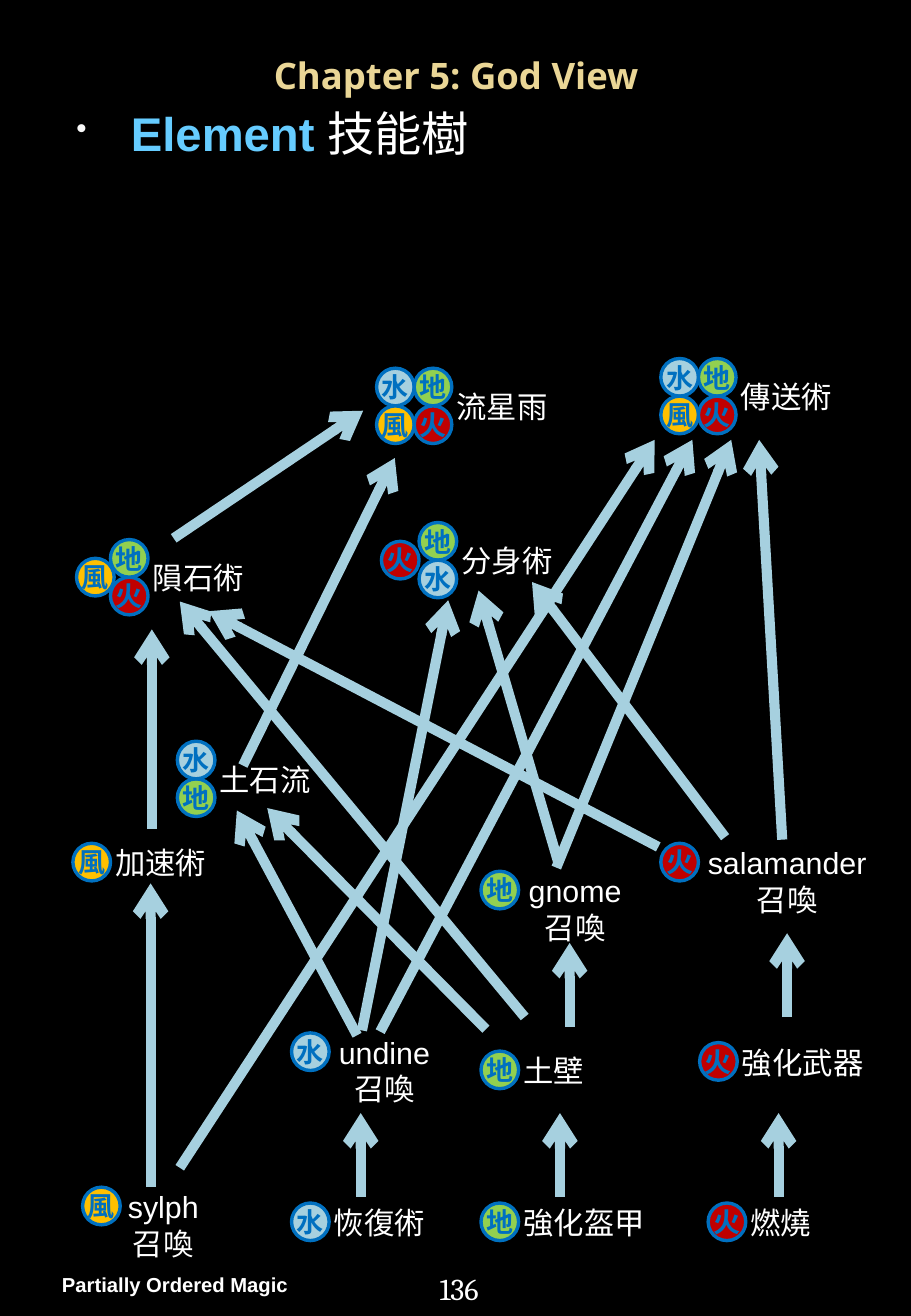
from lxml import etree
from pptx import Presentation
from pptx.dml.color import RGBColor
from pptx.enum.shapes import MSO_CONNECTOR as Line, MSO_SHAPE as Shape
from pptx.enum.text import MSO_ANCHOR as Anchor, MSO_AUTO_SIZE as Fit, PP_ALIGN as Align
from pptx.oxml.ns import qn
from pptx.util import Inches, Pt

BLACK = RGBColor(0x00, 0x00, 0x00)
WHITE = RGBColor(0xFF, 0xFF, 0xFF)
GOLD = RGBColor(0xEA, 0xD6, 0x96)
SKY = RGBColor(0x66, 0xCC, 0xFF)
ICE = RGBColor(0xA6, 0xD0, 0xDF)
BLUE = RGBColor(0x00, 0x70, 0xC0)
ELEMENTS = {
    "水": ICE,
    "地": RGBColor(0x92, 0xD0, 0x50),
    "風": RGBColor(0xFF, 0xC0, 0x00),
    "火": RGBColor(0xC0, 0x00, 0x00),
}
ORB = 0.31  # orb diameter and grid step

SQUARE = [("水", 0, 0), ("地", 1, 0), ("風", 0, 1), ("火", 1, 1)]
FIRE, EARTH, WIND, WATER = ([(element, 0, 0)] for element in "火地風水")

# Name lines, label width, left and top of the orbs, orbs as (element, column, row)
SPELLS = [
    (["流星雨"], 0.96, 3.10, 3.03, SQUARE),
    (["傳送術"], 0.96, 5.44, 2.95, SQUARE),
    (["隕石術"], 0.96, 0.63, 4.44, [("火", 0.9, 1), ("地", 0.9, 0), ("風", 0, 0.5)]),
    (["分身術"], 0.96, 3.14, 4.30, [("火", 0, 0.5), ("地", 1, 0), ("水", 1, 1)]),
    (["土石流"], 0.96, 1.46, 6.10, [("地", 0, 1), ("水", 0, 0)]),
    (["加速術"], 0.96, 0.60, 6.94, WIND),
    (["gnome", "召喚"], 1.05, 3.96, 7.17, EARTH),
    (["salamander", "召喚"], 1.58, 5.44, 6.94, FIRE),
    (["undine", "召喚"], 1.03, 2.40, 8.50, WATER),
    (["土壁"], 0.71, 3.96, 8.65, EARTH),
    (["強化武器"], 1.21, 5.76, 8.58, FIRE),
    (["sylph", "召喚"], 0.83, 0.68, 9.77, WIND),
    (["恢復術"], 0.96, 2.40, 9.90, WATER),
    (["強化盔甲"], 1.21, 3.96, 9.90, EARTH),
    (["燃燒"], 0.71, 5.83, 9.90, FIRE),
]

# Prerequisite arrows: start x, y and end x, y
ARROWS = [
    (4.60, 7.11, 3.94, 4.86), (2.97, 9.85, 2.97, 9.16), (1.24, 9.77, 1.24, 7.27),
    (4.61, 9.85, 4.61, 9.16), (6.41, 9.85, 6.41, 9.16), (4.69, 8.45, 4.69, 7.76),
    (2.98, 8.48, 3.69, 4.94), (2.94, 8.52, 1.95, 6.67), (6.44, 6.91, 6.25, 3.62),
    (1.43, 4.43, 2.99, 3.38), (1.25, 6.82, 1.25, 5.18), (4.58, 7.14, 6.02, 3.62),
    (3.13, 8.49, 5.70, 3.62), (1.48, 9.61, 5.39, 3.62), (6.48, 8.37, 6.48, 7.68),
    (2.00, 6.30, 3.25, 3.77), (5.97, 6.89, 4.38, 4.79), (4.00, 8.47, 2.20, 6.65),
    (5.42, 6.97, 1.72, 5.03), (4.32, 8.37, 1.48, 4.95),
]


def style(font, size, color, name="Arial", bold=False):
    font.size, font.name, font.bold = Pt(size), name, bold
    font.color.rgb = color


def add_text(shapes, lines, left, top, width, height, size=18, name="Arial",
             bold=False, wrap=True):
    box = shapes.add_textbox(Inches(left), Inches(top), Inches(width), Inches(height))
    frame = box.text_frame
    frame.word_wrap = wrap
    frame.auto_size = Fit.SHAPE_TO_FIT_TEXT
    frame.text = "\n".join(lines)
    for paragraph in frame.paragraphs:
        paragraph.alignment = Align.CENTER if len(lines) > 1 else Align.LEFT
        style(paragraph.font, size, WHITE, name, bold)
    return frame


def add_title(slide, left, top, width, height):
    title = slide.shapes.title
    title.left, title.top = Inches(left), Inches(top)
    title.width, title.height = Inches(width), Inches(height)
    frame = title.text_frame
    frame.text = "Chapter 5: God View"
    frame.vertical_anchor = Anchor.MIDDLE
    frame.auto_size = Fit.NONE
    frame.paragraphs[0].alignment = Align.CENTER
    style(frame.paragraphs[0].font, 21.6, GOLD, "Noto Sans", True)


def add_heading(slide, left, top, width, height):
    box = slide.shapes.add_textbox(Inches(left), Inches(top), Inches(width), Inches(height))
    box.text_frame.word_wrap = True
    heading = box.text_frame.paragraphs[0]
    for words, color, bold in [("Element ", SKY, True), ("技能樹", WHITE, False)]:
        run = heading.add_run()
        run.text = words
        style(run.font, 28, color, bold=bold)
    # Hanging bullet
    props = heading._p.get_or_add_pPr()
    props.set("marL", str(Inches(0.6)))
    props.set("indent", str(Inches(-0.45)))
    bullet_color = etree.SubElement(props, qn("a:buClr"))
    etree.SubElement(bullet_color, qn("a:srgbClr"), val="F9F9F9")
    etree.SubElement(props, qn("a:buSzPct"), val="65000")
    etree.SubElement(props, qn("a:buChar"), char="•")


def add_arrow(slide, x1, y1, x2, y2):
    arrow = slide.shapes.add_connector(
        Line.STRAIGHT, Inches(x1), Inches(y1), Inches(x2), Inches(y2))
    arrow.line.color.rgb = ICE
    arrow.line.width = Pt(6)
    etree.SubElement(arrow.line._get_or_add_ln(), qn("a:tailEnd"), type="arrow")
    etree.SubElement(arrow._element.spPr, qn("a:effectLst"))


def add_orb(shapes, element, left, top):
    orb = shapes.add_shape(Shape.OVAL, Inches(left), Inches(top), Inches(ORB), Inches(ORB))
    orb.shadow.inherit = False
    orb.fill.solid()
    orb.fill.fore_color.rgb = ELEMENTS[element]
    orb.line.color.rgb = BLUE
    orb.line.width = Pt(2)
    frame = orb.text_frame
    frame.word_wrap = False
    frame.margin_left = frame.margin_right = frame.margin_top = frame.margin_bottom = 0
    frame.vertical_anchor = Anchor.MIDDLE
    frame.text = element
    sign = frame.paragraphs[0]
    sign.alignment = Align.CENTER
    style(sign.font, 16, BLUE, "Noto Sans CJK SC", True)
    # East Asian typeface follows the Latin one
    etree.SubElement(sign.font._element, qn("a:ea"), typeface="Noto Sans CJK SC")


def add_spell(slide, lines, width, left, top, orbs):
    shapes = slide.shapes.add_group_shape().shapes
    last_column = max(column for _, column, _ in orbs)
    last_row = max(row for _, _, row in orbs)
    add_text(shapes, lines, left + last_column * ORB + 0.25,
             top + last_row * ORB / 2 - 0.04, width, 0.09 + 0.31 * len(lines), wrap=False)
    for element, column, row in orbs:
        add_orb(shapes, element, left + column * ORB, top + row * ORB)


def add_footer(slide, left, top):
    credit = add_text(slide.shapes, ["Partially Ordered Magic"], left, top + 0.01,
                      2.58, 0.32, size=12, bold=True)
    credit.margin_left = credit.margin_right = Inches(0.12)
    credit.margin_top = credit.margin_bottom = Inches(0.06)
    add_text(slide.shapes, ["136"], left + 3.13, top, 1.02, 0.4, name="Cambria")


def main():
    deck = Presentation()
    deck.slide_width, deck.slide_height = Inches(7.5), Inches(10.83)
    slide = deck.slides.add_slide(deck.slide_layouts[5])
    slide.background.fill.solid()
    slide.background.fill.fore_color.rgb = BLACK
    add_footer(slide, 0.39, 10.4)
    add_heading(slide, 0.38, 0.81, 6.75, 9.16)
    add_title(slide, 0.38, 0.43, 6.75, 0.37)
    for arrow in ARROWS:
        add_arrow(slide, *arrow)
    for spell in SPELLS:
        add_spell(slide, *spell)
    deck.save("out.pptx")


if __name__ == "__main__":
    main()
